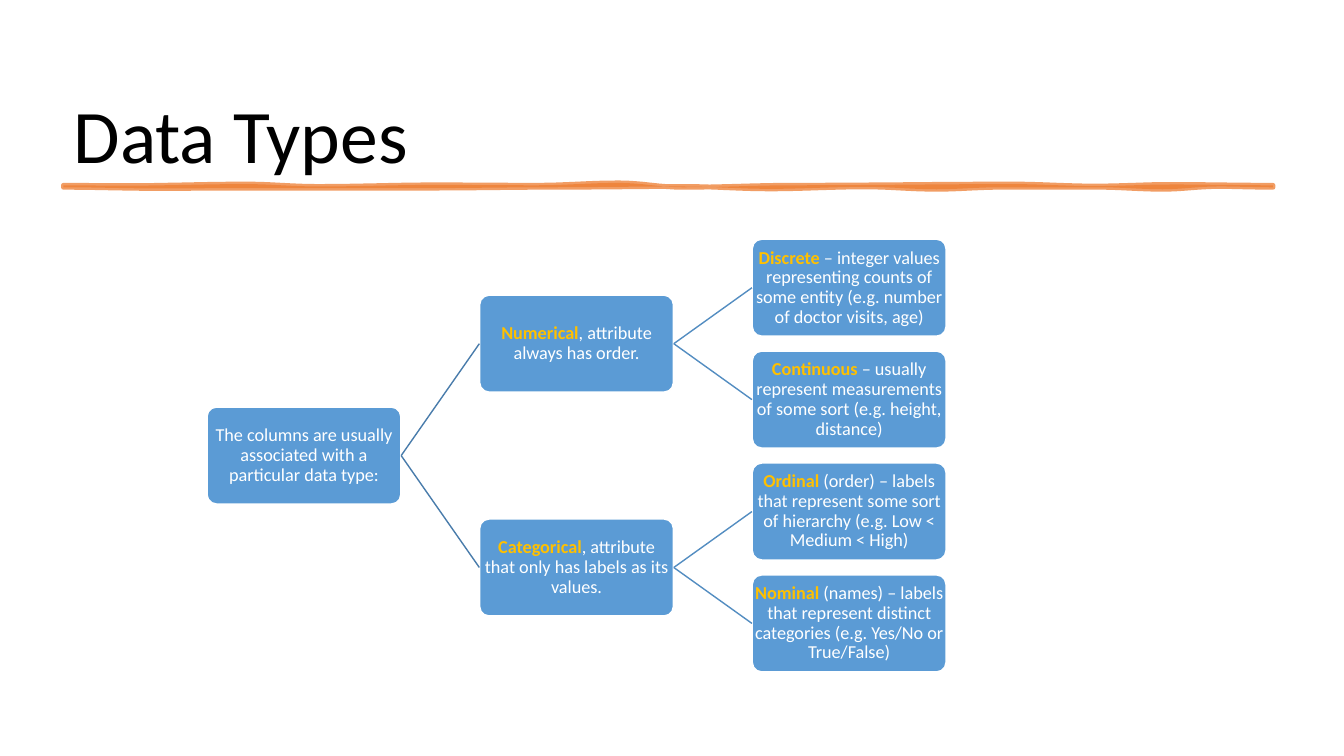
import math
from itertools import pairwise

from lxml import etree
from pptx import Presentation
from pptx.dml.color import RGBColor
from pptx.enum import shapes, text
from pptx.oxml.ns import qn
from pptx.util import Cm, Pt

WHITE = RGBColor(0xFF, 0xFF, 0xFF)
BLACK = RGBColor(0x00, 0x00, 0x00)
BLUE = RGBColor(0x5B, 0x9B, 0xD5)
GOLD = RGBColor(0xFF, 0xC0, 0x00)
ORANGE = RGBColor(0xED, 0x7D, 0x31)
BRANCH_COLORS = [RGBColor(0x49, 0x7C, 0xAB), RGBColor(0x53, 0x8D, 0xC1)]

FONT = "Calibri"
BOX_WIDTH, BOX_HEIGHT = 4.9, 2.46
TREE_LEFT, COLUMN_STEP = 5.21, 6.87
FIRST_LEAF_MIDDLE, LEAF_STEP = 7.25, 2.82

# Each node: highlighted term, remaining text, child nodes
TREE = ("", "The columns are usually associated with a particular data type:", [
    ("Numerical", ", attribute always has order.", [
        ("Discrete", " – integer values representing counts of some entity "
                     "(e.g. number of doctor visits, age)", []),
        ("Continuous", " – usually represent measurements of some sort "
                       "(e.g. height, distance)", []),
    ]),
    ("Categorical", ", attribute that only has labels as its values.", [
        ("Ordinal", " (order) – labels that represent some sort of hierarchy "
                    "(e.g. Low < Medium < High)", []),
        ("Nominal", " (names) – labels that represent distinct categories "
                    "(e.g. Yes/No or True/False)", []),
    ]),
])

# Edges of the brush stroke under the title, in cm
STROKE_TOP = [(1.6, 4.67), (3.1, 4.68), (6.2, 4.64), (8, 4.7), (11, 4.66),
              (13.5, 4.67), (15.6, 4.61), (17.2, 4.72), (20, 4.67),
              (25.5, 4.64), (27.6, 4.69), (29.5, 4.65), (32.08, 4.67)]
STROKE_BOTTOM = [(32.08, 4.72), (30.7, 4.7), (29.3, 4.77), (27.7, 4.72),
                 (25.2, 4.72), (23.6, 4.77), (21.8, 4.71), (19.4, 4.76),
                 (17.2, 4.7), (13.8, 4.72), (11, 4.74), (6.2, 4.74),
                 (4, 4.75), (1.6, 4.72)]


def set_values(target, values):
    for name, value in values.items():
        setattr(target, name, value)


def add_run(paragraph, wording, size, color, bold=False):
    run = paragraph.add_run()
    run.text = wording
    set_values(run.font, {"name": FONT, "size": Pt(size), "bold": bold})
    run.font.color.rgb = color


def add_title(slide, wording):
    title = slide.shapes.title
    set_values(title, {"left": Cm(1.6), "top": Cm(0.66),
                       "width": Cm(30.6), "height": Cm(4.65 - 0.66)})
    set_values(title.text_frame, {"vertical_anchor": text.MSO_ANCHOR.BOTTOM,
                                  "auto_size": text.MSO_AUTO_SIZE.NONE,
                                  "word_wrap": True})
    paragraph = title.text_frame.paragraphs[0]
    set_values(paragraph, {"alignment": text.PP_ALIGN.LEFT, "line_spacing": 0.9})
    add_run(paragraph, wording, 54, BLACK)


def smooth_edge(knots, steps=8):
    """Points of a soft wave that runs through the knots."""
    for (x1, y1), (x2, y2) in pairwise(knots):
        for step in range(steps):
            share = step / steps
            ease = (1 - math.cos(math.pi * share)) / 2
            yield Cm(x1 + (x2 - x1) * share), Cm(y1 + (y2 - y1) * ease)
    yield Cm(knots[-1][0]), Cm(knots[-1][1])


def add_brush_stroke(slide):
    outline = [*smooth_edge(STROKE_TOP), *smooth_edge(STROKE_BOTTOM)]
    builder = slide.shapes.build_freeform(*outline[0])
    builder.add_line_segments(outline[1:], close=True)
    stroke = builder.convert_to_shape()
    stroke.shadow.inherit = False
    stroke.line.width = Pt(3.5)
    for fill in (stroke.fill, stroke.line.fill):
        fill.solid()
        fill.fore_color.rgb = ORANGE
    for color in list(stroke._element.spPr.iter(qn("a:srgbClr"))):
        etree.SubElement(color, qn("a:alpha"), val="75000")


def add_box(slide, left, middle, term, wording):
    box = slide.shapes.add_shape(
        shapes.MSO_SHAPE.ROUNDED_RECTANGLE, Cm(left),
        Cm(middle - BOX_HEIGHT / 2), Cm(BOX_WIDTH), Cm(BOX_HEIGHT))
    box.adjustments[0] = 0.1
    box.shadow.inherit = False
    box.fill.solid()
    box.fill.fore_color.rgb = BLUE
    box.line.color.rgb = WHITE
    box.line.width = Pt(1.5)
    set_values(box.text_frame, {
        "word_wrap": True, "vertical_anchor": text.MSO_ANCHOR.MIDDLE,
        "margin_left": 0, "margin_right": 0, "margin_top": 0, "margin_bottom": 0})
    paragraph = box.text_frame.paragraphs[0]
    set_values(paragraph, {"alignment": text.PP_ALIGN.CENTER, "line_spacing": 0.9})
    if term:
        add_run(paragraph, term, 13, GOLD, bold=True)
    add_run(paragraph, wording, 13, WHITE)
    return box


def add_branch(slide, parent, child, color):
    branch = slide.shapes.add_connector(shapes.MSO_CONNECTOR.STRAIGHT, 0, 0, 0, 0)
    branch.begin_connect(parent, 3)
    branch.end_connect(child, 1)
    branch.line.color.rgb = color
    branch.line.width = Pt(1)
    etree.SubElement(branch._element.spPr, qn("a:effectLst"))


def add_tree(slide, node, leaf_middles, level=0):
    """Draw a node centred on its children; return its box and middle."""
    term, wording, children = node
    drawn = [add_tree(slide, child, leaf_middles, level + 1) for child in children]
    if drawn:
        middle = sum(child_middle for _, child_middle in drawn) / len(drawn)
    else:
        middle = next(leaf_middles)
    box = add_box(slide, TREE_LEFT + level * COLUMN_STEP, middle, term, wording)
    for child_box, _ in drawn:
        add_branch(slide, box, child_box, BRANCH_COLORS[level])
    return box, middle


def main():
    presentation = Presentation()
    presentation.slide_width, presentation.slide_height = Cm(33.87), Cm(19.05)
    slide = presentation.slides.add_slide(presentation.slide_layouts[5])
    add_title(slide, "Data Types")
    add_brush_stroke(slide)
    leaf_middles = (FIRST_LEAF_MIDDLE + i * LEAF_STEP for i in range(4))
    add_tree(slide, TREE, leaf_middles)
    presentation.save("out.pptx")


if __name__ == "__main__":
    main()
